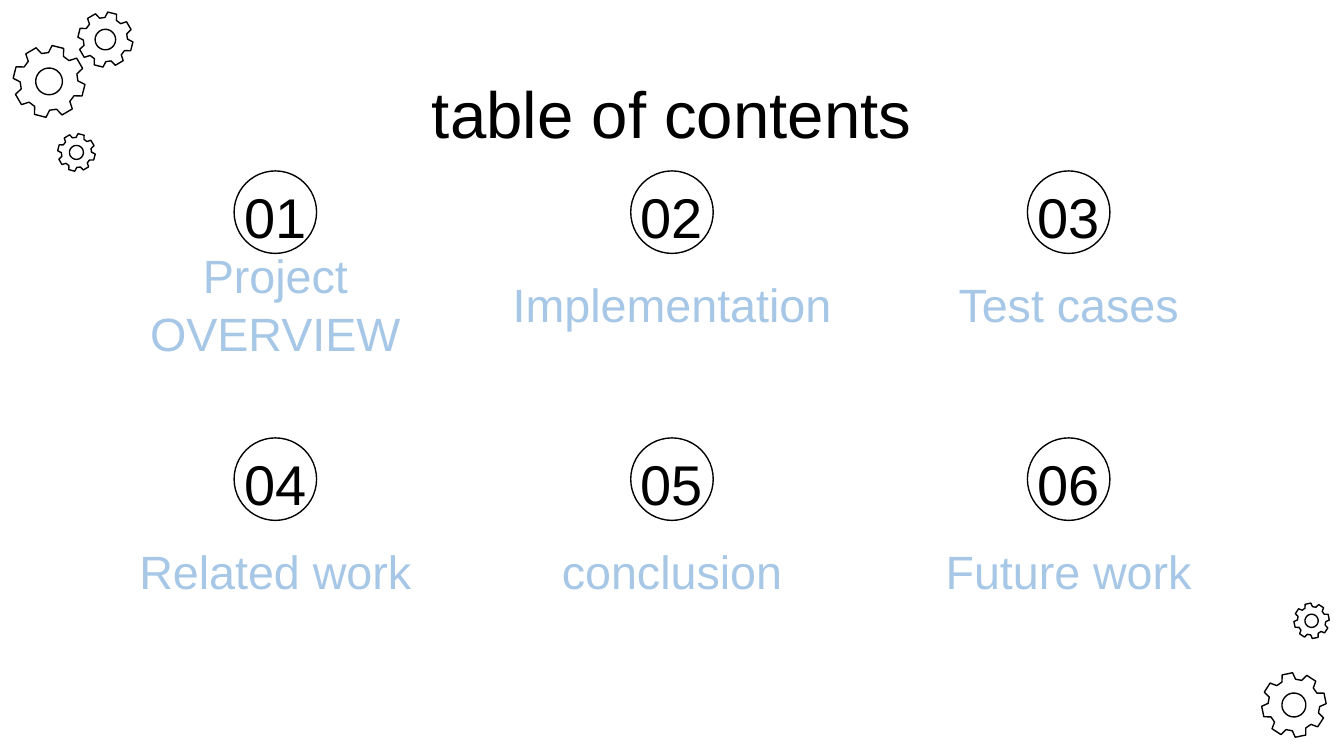
from dataclasses import dataclass
from math import cos, radians, sin

from pptx import Presentation
from pptx.dml.color import RGBColor
from pptx.enum.shapes import MSO_SHAPE as Shape
from pptx.enum.text import MSO_ANCHOR as Anchor, PP_ALIGN as Align
from pptx.util import Pt


@dataclass(frozen=True)
class Theme:
    """Colours, font and type sizes of the slide."""
    ink: RGBColor = RGBColor(0, 0, 0)
    paper: RGBColor = RGBColor(255, 255, 255)
    accent: RGBColor = RGBColor(0xA7, 0xC7, 0xE7)
    font: str = "Arial"
    title: int = 35
    number: int = 30
    label: int = 25
    outline: float = 0.75


THEME = Theme()
TOPICS = ["Project OVERVIEW", "Implementation", "Test cases",
          "Related work", "conclusion", "Future work"]
GEARS = [(56.5, 21.25, 14.8, 0), (41, 81.7, 10.1, 0), (26.3, 43.6, 19.3, 0),
         (702.7, 332.6, 9.5, -26.3), (693.2, 377.7, 17.3, -26.3)]


def add_text(page, box, text, size, color):
    """Add centred text in the box (left, top, width, height)."""
    frame = page.shapes.add_textbox(*map(Pt, box)).text_frame
    frame.word_wrap = True
    frame.vertical_anchor = Anchor.MIDDLE
    frame.margin_left = frame.margin_right = frame.margin_bottom = 0
    frame.margin_top = Pt(2.5)
    para = frame.paragraphs[0]
    para.text = text
    para.alignment = Align.CENTER
    para.line_spacing = 1.05
    para.font.name = THEME.font
    para.font.size = Pt(size)
    para.font.color.rgb = color


def draw_outline(shape):
    """Give the shape a thin dark outline without a shadow."""
    shape.shadow.inherit = False
    shape.line.color.rgb = THEME.ink
    shape.line.width = Pt(THEME.outline)


def add_gear(page, x, y, radius, turn):
    """Add an eight-toothed gear with a round hole, centred on x, y."""
    def ring_point(share, degrees):
        angle = radians(degrees)
        return (Pt(x + radius * share * cos(angle)),
                Pt(y + radius * share * sin(angle)))

    tooth = [(0.8, -15.5), (1, -9.5), (1, 9.5), (0.8, 15.5)]
    rim = [ring_point(share, 45 * index - 75.6 + offset)
           for index in range(8) for share, offset in tooth]
    hole = [ring_point(0.37, -degrees) for degrees in range(0, 360, 10)]
    builder = page.shapes.build_freeform(*rim[0])
    builder.add_line_segments(rim[1:], close=True)
    builder.move_to(*hole[0])
    builder.add_line_segments(hole[1:], close=True)
    gear = builder.convert_to_shape()
    gear.fill.background()
    gear.rotation = turn
    draw_outline(gear)


def add_topic(page, box, number, label):
    """Add a numbered circle with its topic below, inside the box."""
    left, top, width, height = box
    circle_size, number_height, label_height = 44.2, 32.4, 41.8
    circle_left = left + (width - circle_size) / 2
    circle = page.shapes.add_shape(
        Shape.OVAL, Pt(circle_left), Pt(top), Pt(circle_size), Pt(circle_size))
    circle.fill.solid()
    circle.fill.fore_color.rgb = THEME.paper
    draw_outline(circle)
    number_top = top + (circle_size - number_height) / 2
    add_text(page, (circle_left, number_top, circle_size, number_height),
             f"{number:02}", THEME.number, THEME.ink)
    add_text(page, (left, top + height - label_height, width, label_height),
             label, THEME.label, THEME.accent)


def add_topic_grid(page, box, topics, columns=3):
    """Lay the topics out in equal columns and rows across the box."""
    left, top, width, height = box
    cell_width, cell_height = 181.6, 90
    rows = len(topics) // columns
    step_x = (width - cell_width) / (columns - 1)
    step_y = (height - cell_height) / (rows - 1)
    for index, topic in enumerate(topics):
        row, column = divmod(index, columns)
        cell = (left + column * step_x, top + row * step_y,
                cell_width, cell_height)
        add_topic(page, cell, index + 1, topic)


def build_contents(page):
    """Place the gears, the title and the topic grid on the page."""
    for gear in GEARS:
        add_gear(page, *gear)
    add_text(page, (56.7, 35.3, 606.6, 45.4), "table of contents",
             THEME.title, THEME.ink)
    add_topic_grid(page, (56.7, 91.6, 606.6, 233), TOPICS)


def main():
    """Build and save the deck."""
    deck = Presentation()
    deck.slide_width, deck.slide_height = Pt(720), Pt(405)
    build_contents(deck.slides.add_slide(deck.slide_layouts[6]))
    deck.save("out.pptx")


if __name__ == "__main__":
    main()
